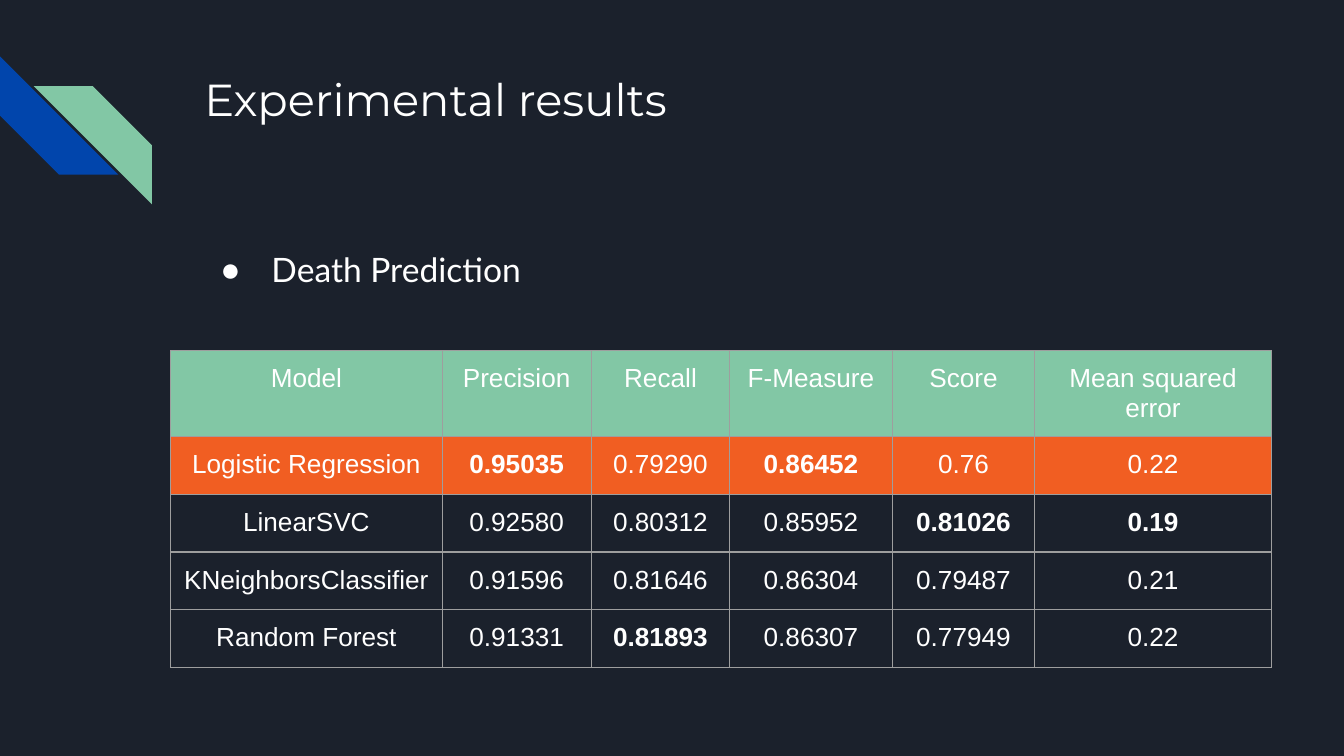
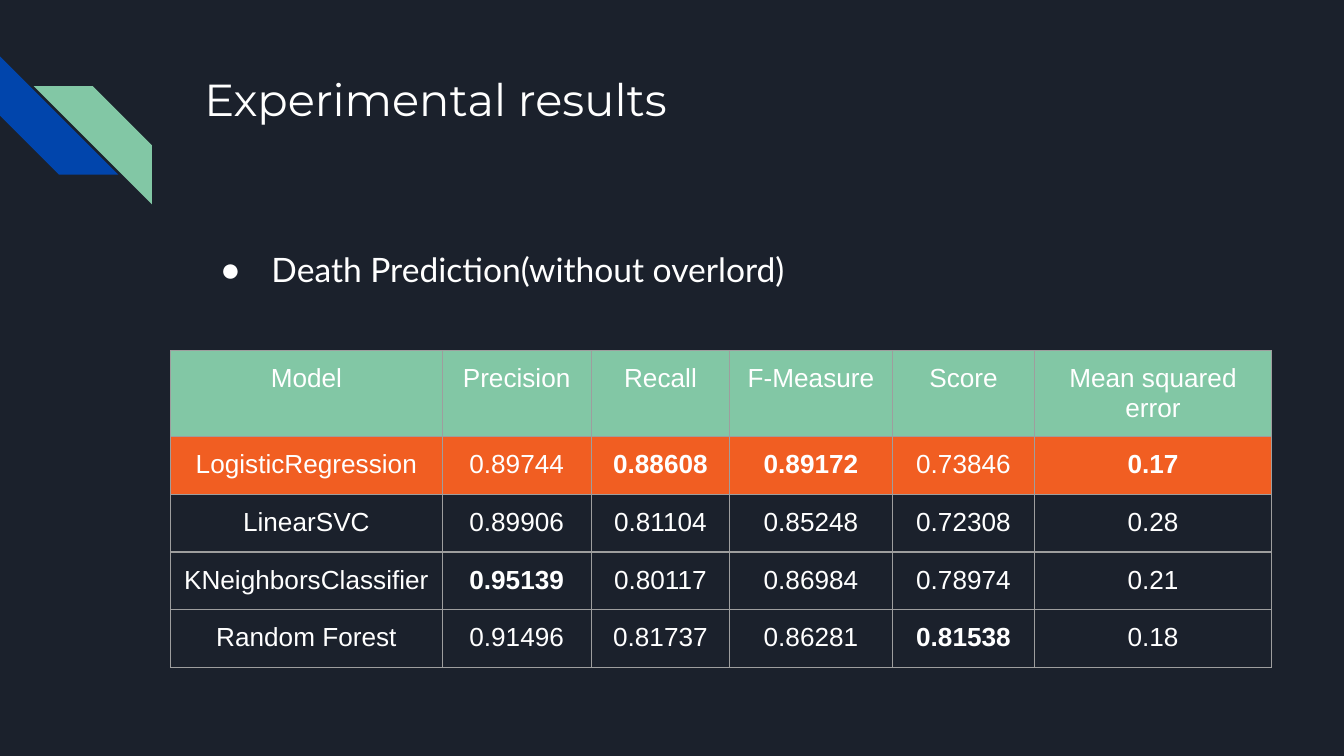
from dataclasses import dataclass

from lxml import etree
from pptx import Presentation
from pptx import util as u
from pptx.dml.color import RGBColor
from pptx.enum import shapes, text
from pptx.oxml import ns
from pptx.slide import Slide
from pptx.table import _Cell
from pptx.text.text import TextFrame, _Paragraph


@dataclass(frozen=True)
class Theme:
    night: str = "1B212C"
    blue: str = "0145AC"
    green: str = "82C7A5"
    orange: str = "F15E22"
    white: str = "FFFFFF"
    grid: str = "9E9E9E"
    grid_width: float = 0.75
    title: tuple[str, int] = ("Montserrat", 24)
    body: tuple[str, int] = ("Lato", 18)
    table: tuple[str, int] = ("Arial", 14)


@dataclass(frozen=True)
class Stripe:
    left: float
    top: float
    color: str
    rotation: int = 0
    flipped: bool = False


@dataclass(frozen=True)
class Experiment:
    topic: str
    scores: tuple[tuple[str, ...], ...]


THEME = Theme()
SLIDE_WIDTH = u.Inches(10)
SLIDE_HEIGHT = SLIDE_WIDTH * 9 // 16
STRIPE_SIZE = 0.88
STRIPES = (
    Stripe(0, 0.42, THEME.blue, rotation=270),
    Stripe(0.25, 0.64, THEME.green, flipped=True),
)
TITLE_BOX = (1.42, 0.43, 7.7, 1)
BODY_BOX = (1.42, 1.71, 7.7, 3.18)
TABLE_LEFT, TABLE_TOP = 1.27, 2.61
COLUMN_WIDTHS = (2.02, 1.11, 1.03, 1.21, 1.06, 1.76)
HEADER_HEIGHT, ROW_HEIGHT = 0.63, 0.43
ROW_FILLS = (THEME.green, THEME.orange)
INSETS = {f"margin_{side}": u.Inches(0.1) for side in ("left", "top", "right", "bottom")}
# Slightly narrower sides keep the longest model name on one line.
CELL_INSETS = INSETS | {f"margin_{side}": u.Inches(0.09) for side in ("left", "right")}
HEADER = ("Model", "Precision", "Recall", "F-Measure", "Score", "Mean squared error")
ERROR_COLUMN = HEADER.index("Mean squared error")

EXPERIMENTS = (
    Experiment("Death Prediction", (
        ("Logistic Regression", "0.95035", "0.79290", "0.86452", "0.76", "0.22"),
        ("LinearSVC", "0.92580", "0.80312", "0.85952", "0.81026", "0.19"),
        ("KNeighborsClassifier", "0.91596", "0.81646", "0.86304", "0.79487", "0.21"),
        ("Random Forest", "0.91331", "0.81893", "0.86307", "0.77949", "0.22"),
    )),
    Experiment("Death Prediction(without overlord)", (
        ("LogisticRegression", "0.89744", "0.88608", "0.89172", "0.73846", "0.17"),
        ("LinearSVC", "0.89906", "0.81104", "0.85248", "0.72308", "0.28"),
        ("KNeighborsClassifier", "0.95139", "0.80117", "0.86984", "0.78974", "0.21"),
        ("Random Forest", "0.91496", "0.81737", "0.86281", "0.81538", "0.18"),
    )),
)


def apply(target: object, formats: dict[str, object]) -> None:
    for name, value in formats.items():
        setattr(target, name, value)


def write(paragraph: _Paragraph, words: str, face: tuple[str, int], bold: bool = False) -> None:
    run = paragraph.add_run()
    run.text = words
    name, size = face
    apply(run.font, {"name": name, "size": u.Pt(size), "bold": bold})
    run.font.color.rgb = RGBColor.from_string(THEME.white)


def place(placeholder, box: tuple[float, ...]) -> TextFrame:
    """Move a placeholder and give its frame the shared insets."""
    apply(placeholder, dict(zip(("left", "top", "width", "height"), map(u.Inches, box))))
    frame = placeholder.text_frame
    apply(frame, INSETS | {
        "word_wrap": True,
        "auto_size": text.MSO_AUTO_SIZE.NONE,
        "vertical_anchor": text.MSO_ANCHOR.TOP,
    })
    return frame


def add_stripe(slide: Slide, stripe: Stripe) -> None:
    size = u.Inches(STRIPE_SIZE)
    band = slide.shapes.add_shape(
        shapes.MSO_SHAPE.DIAGONAL_STRIPE,
        u.Inches(stripe.left), u.Inches(stripe.top), size, size)
    band.adjustments[0] = 0.5
    band.rotation = stripe.rotation
    band.shadow.inherit = False
    band.fill.solid()
    band.fill.fore_color.rgb = RGBColor.from_string(stripe.color)
    band.line.fill.background()
    if stripe.flipped:
        band._element.spPr.find(ns.qn("a:xfrm")).set("flipH", "1")


def add_title(slide: Slide, title: str) -> None:
    paragraph = place(slide.shapes.title, TITLE_BOX).paragraphs[0]
    paragraph.alignment = text.PP_ALIGN.LEFT
    write(paragraph, title, THEME.title)


def add_topic(slide: Slide, topic: str) -> None:
    paragraph = place(slide.placeholders[1], BODY_BOX).paragraphs[0]
    apply(paragraph, {"line_spacing": 1.15, "space_before": u.Pt(0)})
    properties = paragraph._p.get_or_add_pPr()
    properties.set("marL", str(u.Inches(0.5)))
    properties.set("indent", str(u.Inches(-0.38)))
    bullet_color = etree.SubElement(properties, ns.qn("a:buClr"))
    etree.SubElement(bullet_color, ns.qn("a:srgbClr"), val=THEME.white)
    etree.SubElement(properties, ns.qn("a:buChar"), char="●")
    write(paragraph, topic, THEME.body)


def draw_borders(cell: _Cell) -> None:
    properties = cell._tc.get_or_add_tcPr()
    for side in ("lnL", "lnR", "lnT", "lnB"):
        border = etree.SubElement(properties, ns.qn(f"a:{side}"), w=str(u.Pt(THEME.grid_width)))
        fill = etree.SubElement(border, ns.qn("a:solidFill"))
        etree.SubElement(fill, ns.qn("a:srgbClr"), val=THEME.grid)


def best_scores(scores: tuple[tuple[str, ...], ...]) -> dict[int, str]:
    """Best value of each column: the lowest error, the highest of the rest."""
    columns = list(zip(*scores))
    return {
        index: (min if index == ERROR_COLUMN else max)(columns[index], key=float)
        for index in range(1, len(columns))
    }


def add_scores(slide: Slide, scores: tuple[tuple[str, ...], ...]) -> None:
    rows = (HEADER, *scores)
    heights = [HEADER_HEIGHT] + [ROW_HEIGHT] * len(scores)
    table = slide.shapes.add_table(
        len(rows), len(HEADER), u.Inches(TABLE_LEFT), u.Inches(TABLE_TOP),
        u.Inches(sum(COLUMN_WIDTHS)), u.Inches(sum(heights))).table
    apply(table, {"first_row": False, "horz_banding": False})
    for column, width in zip(table.columns, COLUMN_WIDTHS):
        column.width = u.Inches(width)
    best = best_scores(scores)
    for row_index, (row, height) in enumerate(zip(rows, heights)):
        table.rows[row_index].height = u.Inches(height)
        for column_index, words in enumerate(row):
            cell = table.cell(row_index, column_index)
            apply(cell, CELL_INSETS)
            draw_borders(cell)
            if row_index < len(ROW_FILLS):
                cell.fill.solid()
                cell.fill.fore_color.rgb = RGBColor.from_string(ROW_FILLS[row_index])
            else:
                cell.fill.background()
            paragraph = cell.text_frame.paragraphs[0]
            paragraph.alignment = text.PP_ALIGN.CENTER
            write(paragraph, words, THEME.table, bold=words == best.get(column_index))


def main() -> None:
    deck = Presentation()
    apply(deck, {"slide_width": SLIDE_WIDTH, "slide_height": SLIDE_HEIGHT})
    backdrop = deck.slide_master.background.fill
    backdrop.solid()
    backdrop.fore_color.rgb = RGBColor.from_string(THEME.night)
    for experiment in EXPERIMENTS:
        slide = deck.slides.add_slide(deck.slide_layouts[1])
        for stripe in STRIPES:
            add_stripe(slide, stripe)
        add_title(slide, "Experimental results")
        add_topic(slide, experiment.topic)
        add_scores(slide, experiment.scores)
    deck.save("out.pptx")


if __name__ == "__main__":
    main()
